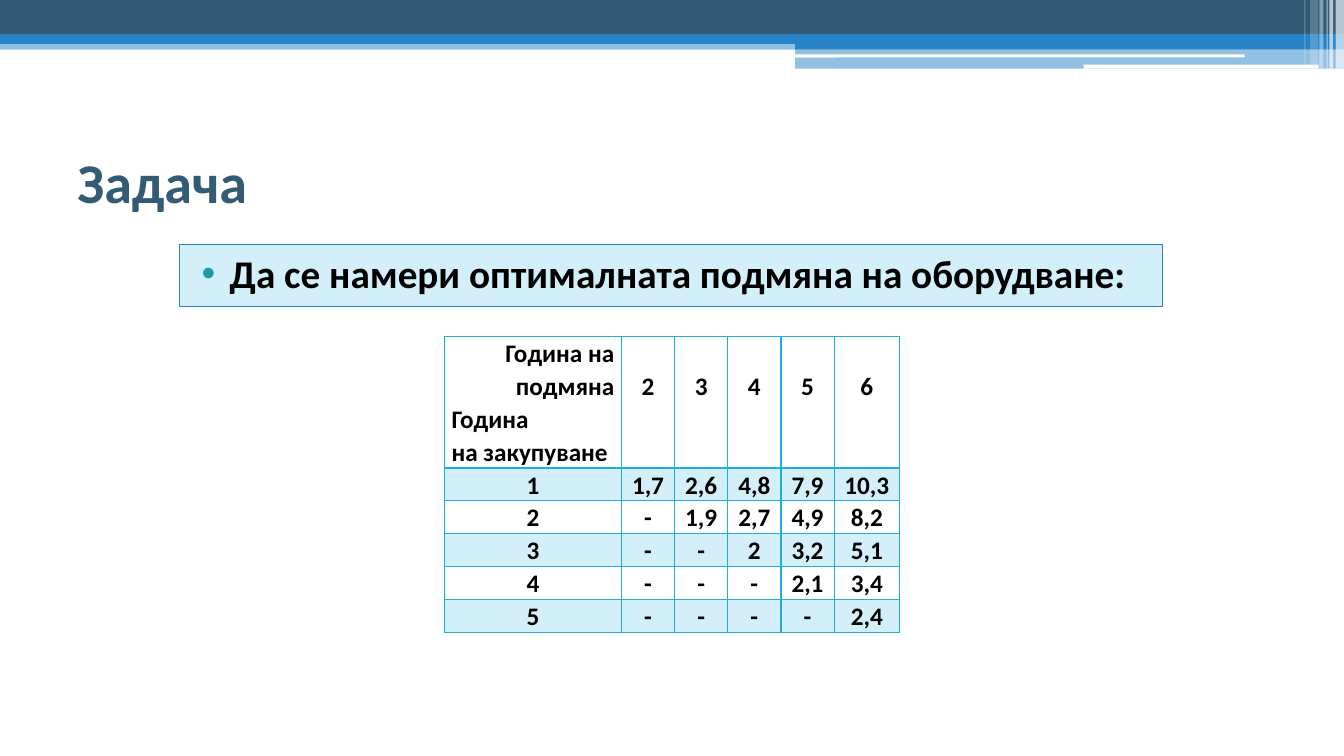
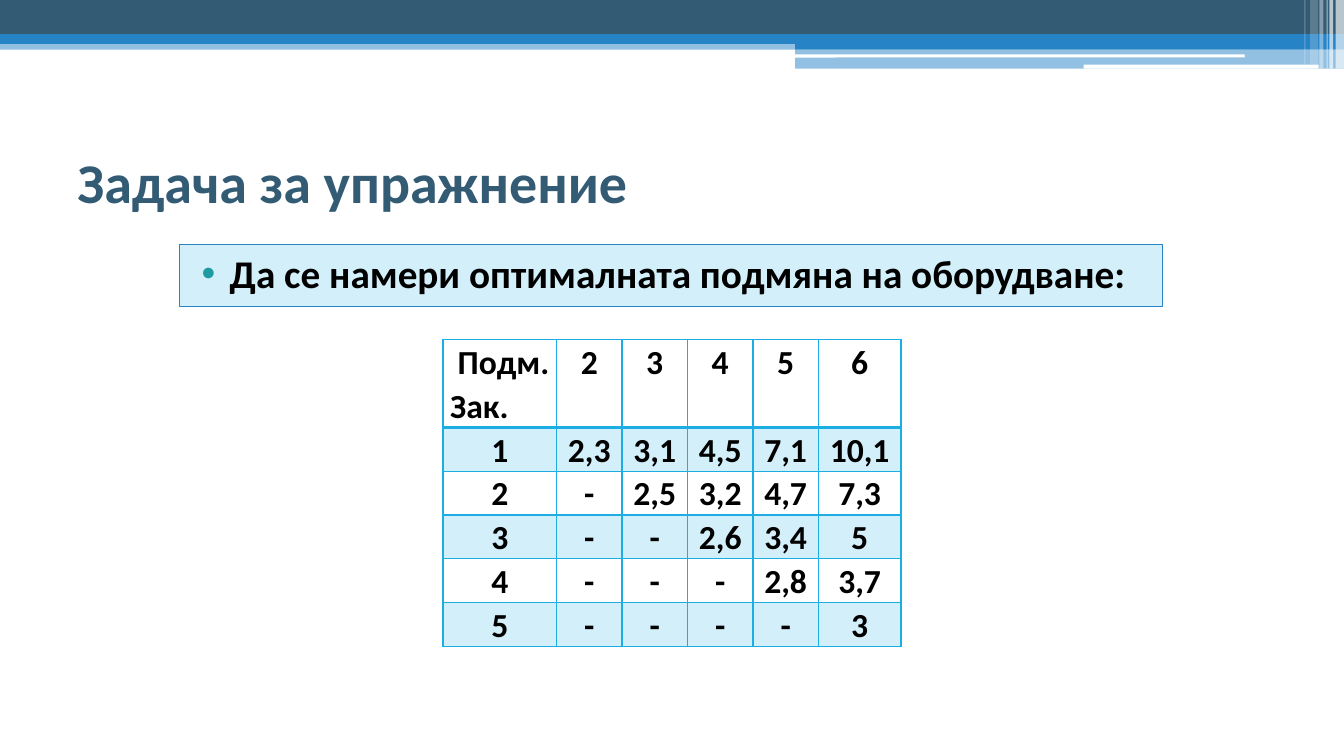
from lxml import etree
from pptx import Presentation
from pptx.dml.color import RGBColor
from pptx.enum.shapes import MSO_SHAPE
from pptx.enum.text import MSO_ANCHOR, PP_ALIGN
from pptx.oxml.ns import qn
from pptx.util import Cm, Pt

RECT, ROUND = MSO_SHAPE.RECTANGLE, MSO_SHAPE.ROUNDED_RECTANGLE
LEFT, CENTER, RIGHT = PP_ALIGN.LEFT, PP_ALIGN.CENTER, PP_ALIGN.RIGHT
TOP, MIDDLE = MSO_ANCHOR.TOP, MSO_ANCHOR.MIDDLE

COLORS = {
    "navy": "335B74",
    "blue": "2683C6",
    "cyan": "1CADE4",
    "pale": "D2EFFA",
    "teal": "1D9BA1",
    "white": "FFFFFF",
    "black": "000000",
}
FONT = "Calibri"
SLIDE_W, SLIDE_H = 33.87, 19.05
LINE_SPACING = 1.07
LINE_CM_PER_PT = 0.046  # height of one table line for each point of type

TITLE_BOX = (1.7, 3.18, 30.48, 2.97)
TASK_BOX = (4.52, 6.17, 24.79, 1.55)
TASK = "Да се намери оптималната подмяна на оборудване:"

# left, top, width, height, colour, opacity in percent
BAND_BARS = [
    (0, 1.02, SLIDE_W, 0.23, "blue", 50),
    (0, 0, SLIDE_W, 0.86, "navy", 100),
    (0, 0.86, SLIDE_W, 0.25, "blue", 100),
    (20.04, 0.99, 13.83, 0.25, "blue", 100),
    (20.04, 1.23, 13.83, 0.5, "blue", 50),
]
BAND_GAPS = [(20.02, 1.37, 11.35, 0.08), (27.31, 1.63, 5.92, 0.1)]
# left, width, height, opacity in percent
BAND_STRIPES = [
    (33.66, 0.21, 1.73, 65),
    (33.5, 0.1, 1.73, 65),
    (33.43, 0.03, 1.73, 60),
    (33.25, 0.1, 1.73, 40),
    (33.02, 0.2, 1.63, 20),
    (32.87, 0.03, 1.63, 30),
]

YEARS = ["2", "3", "4", "5", "6"]
SLIDES = [
    {
        "title": "Задача",
        "top": 8.48,
        "size": 18,
        "widths": [4.46] + [1.34] * 4 + [1.65],
        "corner": [("Година на", RIGHT), ("подмяна", RIGHT),
                   ("Година", LEFT), ("на закупуване", LEFT)],
        "year_line": 1,
        "costs": [
            ["1,7", "2,6", "4,8", "7,9", "10,3"],
            ["1,9", "2,7", "4,9", "8,2"],
            ["2", "3,2", "5,1"],
            ["2,1", "3,4"],
            ["2,4"],
        ],
    },
    {
        "title": "Задача за упражнение",
        "top": 8.56,
        "size": 24,
        "widths": [2.86] + [1.65] * 4 + [2.08],
        "corner": [("Подм.", RIGHT), ("Зак.", LEFT)],
        "year_line": 0,
        "costs": [
            ["2,3", "3,1", "4,5", "7,1", "10,1"],
            ["2,5", "3,2", "4,7", "7,3"],
            ["2,6", "3,4", "5"],
            ["2,8", "3,7"],
            ["3"],
        ],
    },
]


def rgb(name):
    return RGBColor.from_string(COLORS[name])


def add_text(tf, text, *, size, color="black", align=LEFT, spacing=None, before=None):
    """Write one paragraph, using the empty first one when there is one."""
    p = tf.paragraphs[0] if not tf.paragraphs[0].runs else tf.add_paragraph()
    p.alignment = align
    if spacing is not None:
        p.line_spacing = spacing
    if before is not None:
        p.space_before = Pt(before)
    r = p.add_run()
    r.text = text
    r.font.name, r.font.size, r.font.bold = FONT, Pt(size), True
    r.font.color.rgb = rgb(color)
    return p


def add_box(s, box, fill, *, kind=RECT, opacity=100, line=None):
    sp = s.shapes.add_shape(kind, *map(Cm, box))
    sp.shadow.inherit = False
    sp.fill.solid()
    sp.fill.fore_color.rgb = rgb(fill)
    if opacity < 100:
        clr = sp.fill._xPr.find(".//" + qn("a:srgbClr"))
        etree.SubElement(clr, qn("a:alpha"), val=str(opacity * 1000))
    if line:
        sp.line.color.rgb = rgb(line)
        sp.line.width = Pt(0.75)
    else:
        sp.line.fill.background()
    return sp


def add_band(s):
    for *box, color, opacity in BAND_BARS:
        add_box(s, box, color, opacity=opacity)
    for box in BAND_GAPS:
        add_box(s, box, "white", kind=ROUND)
    for left, width, height, opacity in BAND_STRIPES:
        add_box(s, (left, 0, width, height), "white", opacity=opacity)


def add_title(s, box, text):
    tf = s.shapes.add_textbox(*map(Cm, box)).text_frame
    tf.word_wrap = True
    tf.vertical_anchor = MIDDLE
    add_text(tf, text, size=40, color="navy", spacing=0.9)


def add_task(s, box, text):
    tf = add_box(s, box, "pale", line="blue").text_frame
    tf.word_wrap = True
    tf.vertical_anchor = TOP
    pPr = add_text(tf, text, size=28, before=3)._p.get_or_add_pPr()
    pPr.set("marL", str(Cm(1.02)))
    pPr.set("indent", str(Cm(-0.71)))
    clr = etree.SubElement(pPr, qn("a:buClr"))
    etree.SubElement(clr, qn("a:srgbClr"), val=COLORS["teal"])
    etree.SubElement(pPr, qn("a:buFont"), typeface="Arial")
    etree.SubElement(pPr, qn("a:buChar"), char="•")


def set_borders(cell, **widths):
    """Draw the four sides; widths (L, R, T, B) are in points, 1 by default."""
    tcPr = cell._tc.get_or_add_tcPr()
    for side in "LRTB":
        ln = etree.SubElement(tcPr, qn(f"a:ln{side}"), w=str(Pt(widths.get(side, 1))))
        fill = etree.SubElement(ln, qn("a:solidFill"))
        etree.SubElement(fill, qn("a:srgbClr"), val=COLORS["cyan"])


def add_cost_table(s, top, size, widths, corner, year_line, costs):
    """Centre the table; row i of costs starts below the year i + 2."""
    line_h = size * LINE_CM_PER_PT
    heights = [line_h * len(corner)] + [line_h] * len(costs)
    width = sum(widths)
    table = s.shapes.add_table(
        len(heights), len(widths), Cm((SLIDE_W - width) / 2), Cm(top),
        Cm(width), Cm(sum(heights))).table
    table.first_row = table.horz_banding = False
    for col, w in zip(table.columns, widths):
        col.width = Cm(w)
    for row, h in zip(table.rows, heights):
        row.height = Cm(h)

    rows = [[corner] + [[(year, CENTER)] for year in YEARS]]
    for i, values in enumerate(costs):
        texts = [str(i + 1)] + ["-"] * i + values
        rows.append([[(text, CENTER)] for text in texts])

    for i, row in enumerate(rows):
        for j, lines in enumerate(row):
            cell = table.cell(i, j)
            cell.margin_left = cell.margin_right = Cm(0.18)
            cell.margin_top = cell.margin_bottom = 0
            if i == 0 and j > 0:
                cell.margin_top = Cm(year_line * line_h)
            set_borders(cell, T=2 if i == 1 else 1, B=2 if i == 0 else 1)
            if i % 2:
                cell.fill.solid()
                cell.fill.fore_color.rgb = rgb("pale")
            else:
                cell.fill.background()
            for text, align in lines:
                add_text(cell.text_frame, text, size=size, align=align,
                         spacing=LINE_SPACING)


def add_task_slide(prs, title, **table):
    s = prs.slides.add_slide(prs.slide_layouts[6])
    add_band(s)
    add_title(s, TITLE_BOX, title)
    add_task(s, TASK_BOX, TASK)
    add_cost_table(s, **table)


def main():
    prs = Presentation()
    prs.slide_width, prs.slide_height = Cm(SLIDE_W), Cm(SLIDE_H)
    for slide in SLIDES:
        add_task_slide(prs, **slide)
    prs.save("out.pptx")


if __name__ == "__main__":
    main()
